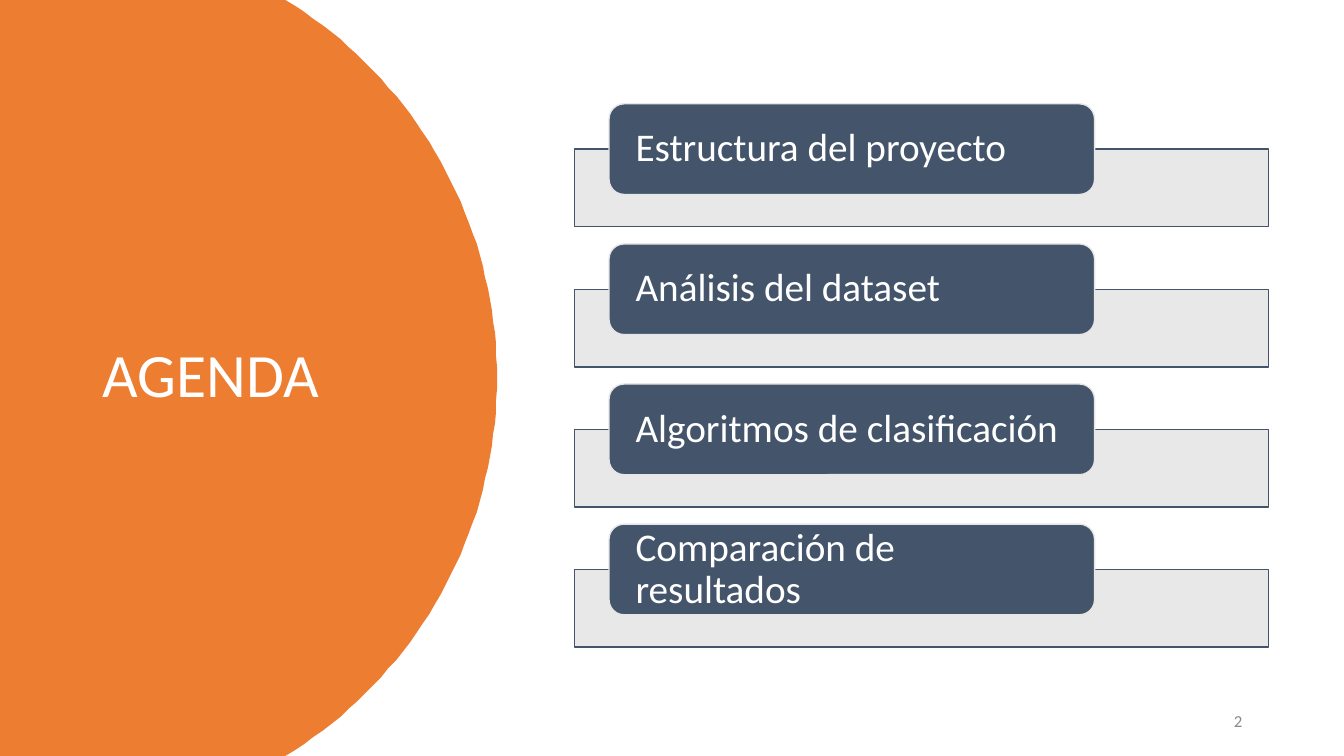
import math

from lxml import etree
from pptx import Presentation
from pptx import util as u
from pptx.dml.color import RGBColor
from pptx.enum import shapes, text
from pptx.oxml.ns import qn

PX = 9144  # 100 px to the inch
WIDE, HIGH = 1333, 750
ORANGE, NAVY, PALE = "ED7D31", "44546A", "E7E6E6"
WHITE, GREY = "FFFFFF", "898989"
TOPICS = ["Estructura del proyecto", "Análisis del dataset",
          "Algoritmos de clasificación", "Comparación de resultados"]


def px(*nums):
    return [u.Emu(round(n * PX)) for n in nums]


def color(code):
    return RGBColor.from_string(code)


def assign(item, **values):
    for name, value in values.items():
        setattr(item, name, value)


def paint(shape, fill, line=None, alpha=None):
    shape.shadow.inherit = False
    shape.fill.solid()
    shape.fill.fore_color.rgb = color(fill)
    if alpha:
        tone = shape.fill._xPr.find(".//" + qn("a:srgbClr"))
        etree.SubElement(tone, qn("a:alpha"), val=str(alpha * 1000))
    if line:
        shape.line.color.rgb = color(line)
        shape.line.width = u.Pt(1)
    else:
        shape.line.fill.background()


def write(shape, words, size, tint=WHITE, side=10, tall=5, **para):
    left, top = px(side, tall)
    frame = shape.text_frame
    assign(frame, word_wrap=True, vertical_anchor=text.MSO_ANCHOR.MIDDLE,
           margin_left=left, margin_right=left,
           margin_top=top, margin_bottom=top)
    line = frame.paragraphs[0]
    assign(line, **{"alignment": text.PP_ALIGN.LEFT, **para})
    run = line.add_run()
    run.text = words
    assign(run.font, name="Calibri", size=u.Pt(size))
    run.font.color.rgb = color(tint)


# Orange disc cut off by the slide edges, with the title
def panel(slide, x, y, w, h):
    radius = 440
    mid = x + w - radius
    half = math.asin(h / 2 / radius)
    steps = 80
    turns = [half * (2 * i / steps - 1) for i in range(steps + 1)]
    arc = [(mid + radius * math.cos(t), y + h / 2 + radius * math.sin(t))
           for t in turns]
    build = slide.shapes.build_freeform(x, y, scale=PX)
    build.add_line_segments(arc + [(x, y + h)], close=True)
    paint(build.convert_to_shape(), ORANGE)
    title = slide.shapes.add_textbox(*px(x + 92, y + 70, 323, 609))
    write(title, "AGENDA", 44, line_spacing=0.9)


# One topic: pale bar behind a rounded label
def topic(slide, words, x, y, w):
    kind = shapes.MSO_SHAPE
    bar = slide.shapes.add_shape(kind.RECTANGLE, *px(x, y + 45, w, 77))
    paint(bar, PALE, NAVY, alpha=90)
    label = slide.shapes.add_shape(
        kind.ROUNDED_RECTANGLE, *px(x + 34, y, w * 0.7, 90))
    paint(label, NAVY, PALE)
    write(label, words, 28, side=22, tall=0, line_spacing=0.9)


# Topics stacked at an equal pitch
def agenda(slide, x, y, w, pitch):
    for i, words in enumerate(TOPICS):
        topic(slide, words, x, y + i * pitch, w)


# Slide number
def number(slide, x, y, w, h):
    box = slide.shapes.add_textbox(*px(x, y, w, h))
    write(box, "2", 12, GREY, alignment=text.PP_ALIGN.RIGHT,
          space_after=u.Pt(6))


def main():
    deck = Presentation()
    deck.slide_width, deck.slide_height = px(WIDE, HIGH)
    slide = deck.slides.add_slide(deck.slide_layouts[6])
    panel(slide, 0, 0, 493, HIGH)
    number(slide, 942, 695, 300, 40)
    agenda(slide, 570, 103, 688, 139)
    deck.save("out.pptx")


if __name__ == "__main__":
    main()
